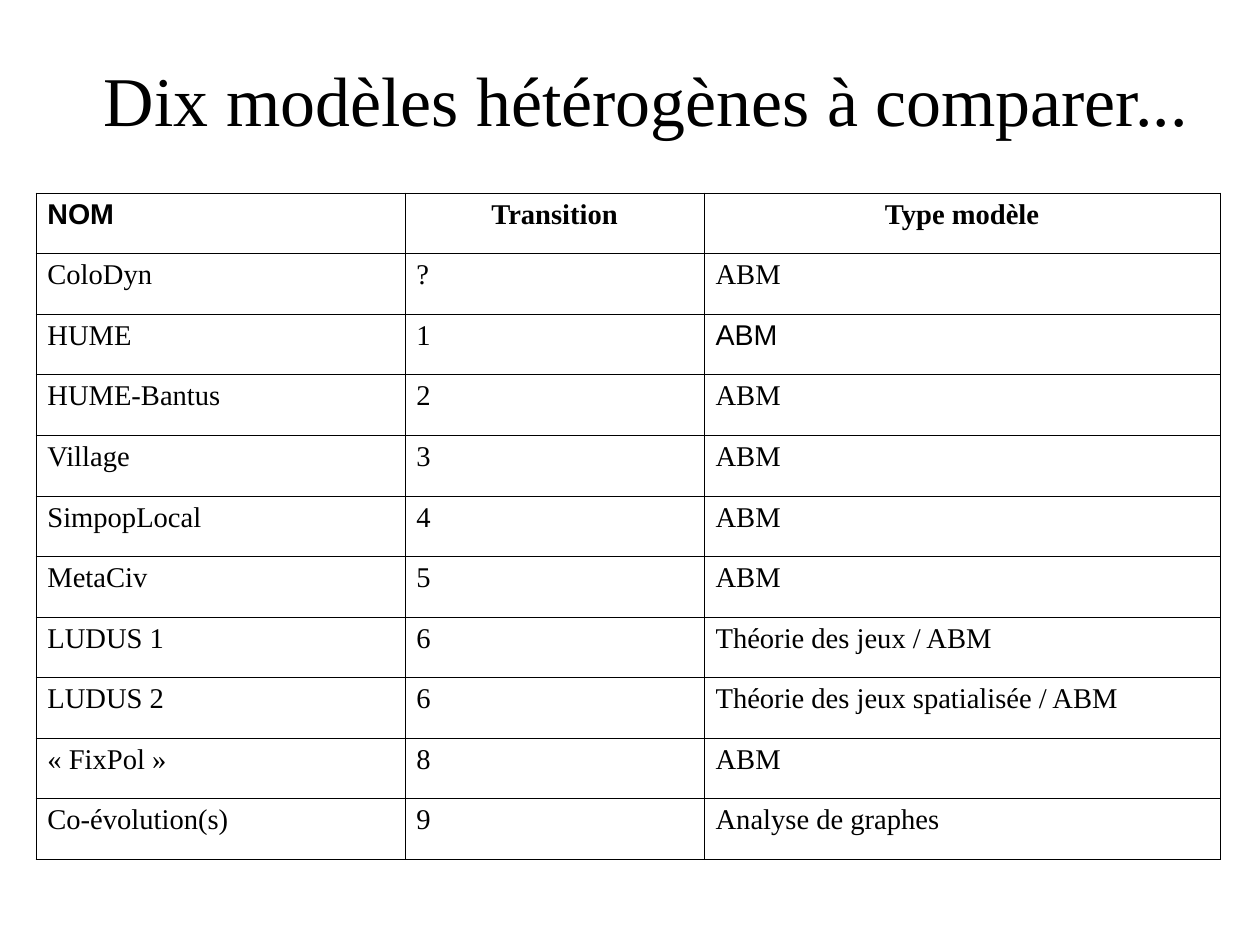
from lxml.etree import SubElement
from pptx import Presentation
from pptx.dml.color import RGBColor
from pptx.enum.text import MSO_ANCHOR as Anchor, PP_ALIGN as Align
from pptx.oxml.ns import qn
from pptx.util import Cm, Pt

SERIF, SANS = "Times New Roman", "Arial"
BLACK = "000000"
COLUMN_WIDTHS = (8.2, 6.65, 11.46)
HEADERS = ("NOM", "Transition", "Type modèle")
MODELS = (
    ("ColoDyn", "?", "ABM"),
    ("HUME", "1", "ABM"),
    ("HUME-Bantus", "2", "ABM"),
    ("Village", "3", "ABM"),
    ("SimpopLocal", "4", "ABM"),
    ("MetaCiv", "5", "ABM"),
    ("LUDUS 1", "6", "Théorie des jeux / ABM"),
    ("LUDUS 2", "6", "Théorie des jeux spatialisée / ABM"),
    ("« FixPol »", "8", "ABM"),
    ("Co-évolution(s)", "9", "Analyse de graphes"),
)
SANS_CELLS = {(0, 0), (2, 2)}


def color(value):
    return RGBColor.from_string(value)


def write(text_frame, text, size, font_name=SERIF, bold=False, align=Align.LEFT):
    text_frame.text = text
    paragraph = text_frame.paragraphs[0]
    paragraph.alignment = align
    font = paragraph.runs[0].font
    font.name = font_name
    font.size = Pt(size)
    font.bold = bold
    font.color.rgb = color(BLACK)


def add_borders(cell, width, line_color):
    properties = cell._tc.get_or_add_tcPr()
    for side in ("a:lnL", "a:lnR", "a:lnT", "a:lnB"):
        line = SubElement(properties, qn(side), w=str(Pt(width)))
        fill = SubElement(line, qn("a:solidFill"))
        SubElement(fill, qn("a:srgbClr"), val=line_color)


def add_title(slide, left, top, width, height):
    shape = slide.shapes.add_textbox(left, top, width, height)
    text_frame = shape.text_frame
    text_frame.word_wrap = True
    text_frame.vertical_anchor = Anchor.MIDDLE
    text_frame.margin_left = text_frame.margin_right = 0
    text_frame.margin_top = text_frame.margin_bottom = 0
    write(text_frame, "Dix modèles hétérogènes à comparer...", 50 - 6)


def add_model_table(slide, left, top, width, height):
    rows = (HEADERS,) + MODELS
    shape = slide.shapes.add_table(len(rows), len(HEADERS), left, top, width, height)
    table = shape.table
    table.first_row = False
    table.horz_banding = False
    for column, share in zip(table.columns, COLUMN_WIDTHS):
        column.width = int(width * share / sum(COLUMN_WIDTHS))
    for row_index, row in enumerate(rows):
        is_header = row_index == 0
        for column_index, text in enumerate(row):
            cell = table.cell(row_index, column_index)
            font_name = SANS if (row_index, column_index) in SANS_CELLS else SERIF
            centered = is_header and column_index > 0
            align = Align.CENTER if centered else Align.LEFT
            write(cell.text_frame, text, 18, font_name, is_header, align)
            add_borders(cell, 0.57, BLACK)
            cell.fill.background()


def main():
    presentation = Presentation()
    presentation.slide_width = Cm(28)
    presentation.slide_height = Cm(21)
    slide = presentation.slides.add_slide(presentation.slide_layouts[6])
    add_title(slide, Cm(2.31), Cm(0.43), Cm(24.51), Cm(3.51))
    add_model_table(slide, Cm(0.8), Cm(4.29), Cm(26.31), Cm(14.81))
    presentation.save("out.pptx")


if __name__ == "__main__":
    main()
